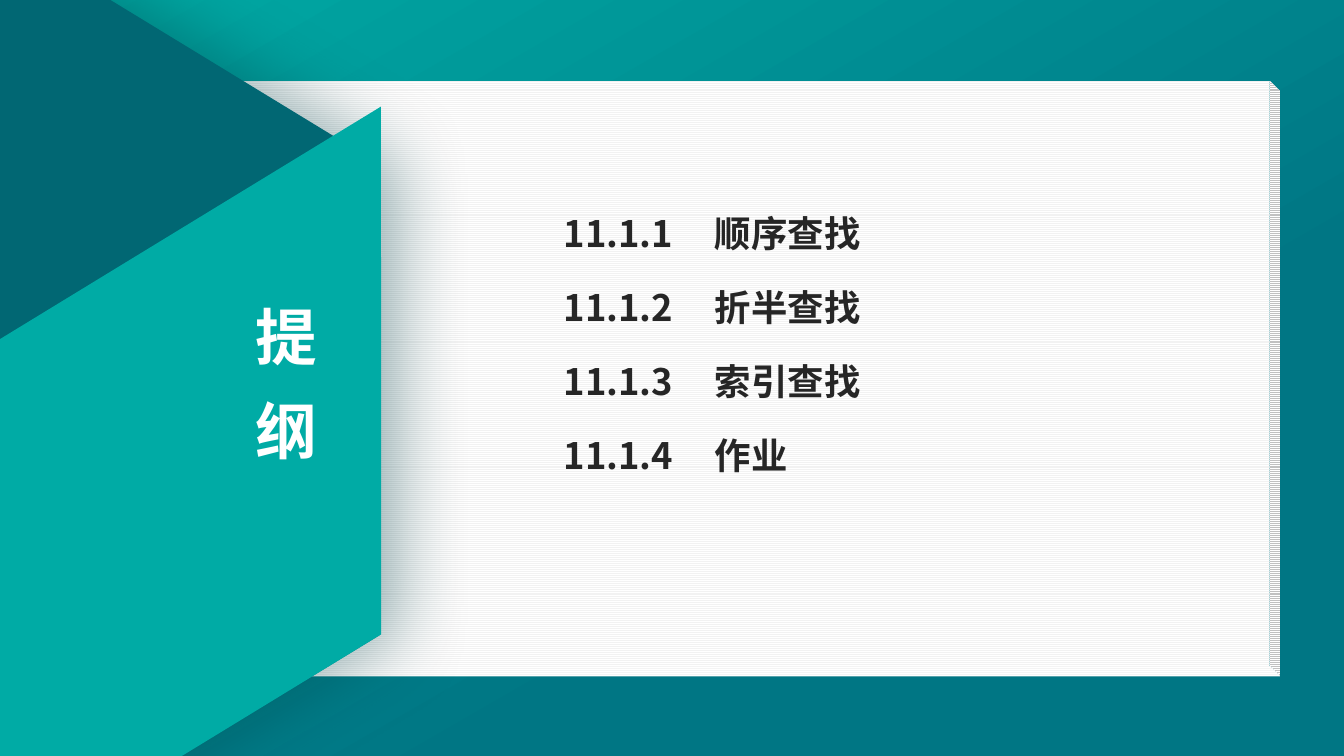
from dataclasses import dataclass

from lxml import etree
from pptx import Presentation
from pptx.dml.color import RGBColor
from pptx.enum.dml import MSO_PATTERN
from pptx.enum.shapes import MSO_SHAPE
from pptx.enum.text import MSO_ANCHOR, MSO_AUTO_SIZE, PP_ALIGN
from pptx.oxml.ns import qn
from pptx.util import Inches, Pt

CUBE, HEXAGON, PARALLELOGRAM = MSO_SHAPE.CUBE, MSO_SHAPE.HEXAGON, MSO_SHAPE.PARALLELOGRAM
PAPER_LINES = MSO_PATTERN.LIGHT_HORIZONTAL
TOP, MIDDLE = MSO_ANCHOR.TOP, MSO_ANCHOR.MIDDLE
LEFT, CENTER = PP_ALIGN.LEFT, PP_ALIGN.CENTER
NO_AUTOFIT = MSO_AUTO_SIZE.NONE
TITLE_AND_CONTENT = 1


@dataclass(frozen=True)
class Theme:
    font: str = "Noto Sans CJK SC"
    title_size: int = 44
    title_pitch: int = 67
    topic_size: int = 26
    teal: str = "00ABA5"
    sea: str = "007684"
    deep: str = "016773"
    shade: str = "013F45"
    black: str = "000000"
    ink: str = "262626"
    paper: str = "FFFFFF"
    paper_line: str = "F2F2F2"


def rgb(code):
    return RGBColor.from_string(code)


def set_gradient(fill, stops, clockwise_angle):
    fill.gradient()
    fill.gradient_angle = (360 - clockwise_angle) % 360
    for stop, (position, color) in zip(fill.gradient_stops, stops):
        stop.position = position
        stop.color.rgb = rgb(color)


def shadow_effect(color, opacity, blur, distance, angle):
    """Return an effect list with one outer shadow; lengths in points."""
    effects = etree.Element(qn("a:effectLst"))
    shadow = etree.SubElement(
        effects, qn("a:outerShdw"), blurRad=str(Pt(blur)), dist=str(Pt(distance)),
        dir=str(angle * 60000), algn="ctr", rotWithShape="0")
    tint = etree.SubElement(shadow, qn("a:srgbClr"), val=color)
    etree.SubElement(tint, qn("a:alpha"), val=str(opacity * 1000))
    return effects


class OutlineSlide:
    def __init__(self, presentation, theme):
        self.theme = theme
        layout = presentation.slide_layouts[TITLE_AND_CONTENT]
        self.slide = presentation.slides.add_slide(layout)

    def background(self, stops, angle):
        set_gradient(self.slide.background.fill, stops, angle)

    def panel(self, preset, box, adjustments, rotation=0):
        panel = self.slide.shapes.add_shape(preset, *map(Inches, box))
        for index, value in enumerate(adjustments):
            panel.adjustments[index] = value
        panel.rotation = rotation
        panel.line.fill.background()
        panel.shadow.inherit = False
        return panel

    def place(self, placeholder, box, insets, anchor):
        """Position a placeholder in front of the panels and return its text frame."""
        placeholder.left, placeholder.top, placeholder.width, placeholder.height = map(Inches, box)
        self.slide.shapes._spTree.append(placeholder._element)
        frame = placeholder.text_frame
        frame.margin_left, frame.margin_top, frame.margin_right, frame.margin_bottom = map(
            Inches, insets)
        frame.word_wrap = True
        frame.auto_size = NO_AUTOFIT
        frame.vertical_anchor = anchor
        return frame

    def style_run(self, run, size, color):
        run.font.name = self.theme.font
        run.font.size = Pt(size)
        run.font.bold = True
        run.font.color.rgb = rgb(color)
        properties = run.font._element
        east_asian = etree.Element(qn("a:ea"), typeface=self.theme.font)
        properties.find(qn("a:latin")).addnext(east_asian)

    def title(self, text, box):
        """Stack the title's characters: the box is one character wide."""
        frame = self.place(self.slide.shapes.title, box, (0, 0, 0, 0), MIDDLE)
        frame.text = text
        paragraph = frame.paragraphs[0]
        paragraph.alignment = CENTER
        paragraph.line_spacing = Pt(self.theme.title_pitch)
        run = paragraph.runs[0]
        self.style_run(run, self.theme.title_size, self.theme.paper)
        run.font._element.find(qn("a:solidFill")).addnext(
            shadow_effect(self.theme.black, 43, 3, 3, 45))

    def topics(self, topics, box, name_offset):
        frame = self.place(self.slide.placeholders[1], box, (0.1, 0, 0.1, 0.05), TOP)
        frame.text = "\n".join(f"{number}\t{name}" for number, name in topics)
        for paragraph in frame.paragraphs:
            paragraph.alignment = LEFT
            paragraph.line_spacing = 1.5
            paragraph.space_before = Pt(6)
            properties = paragraph._p.get_or_add_pPr()
            properties.set("marL", "0")
            properties.set("indent", "0")
            etree.SubElement(properties, qn("a:buNone"))
            tabs = etree.SubElement(properties, qn("a:tabLst"))
            etree.SubElement(tabs, qn("a:tab"), pos=str(Inches(name_offset)), algn="l")
            for run in paragraph.runs:
                self.style_run(run, self.theme.topic_size, self.theme.ink)


def main():
    theme = Theme()
    presentation = Presentation()
    presentation.slide_width = Inches(13.33)
    presentation.slide_height = Inches(7.5)
    outline = OutlineSlide(presentation, theme)
    outline.background([(0, theme.teal), (0.67, theme.sea)], 60)

    notebook = outline.panel(CUBE, (0, 0.8, 12.7, 5.91), [0.018])
    notebook._element.spPr.find(qn("a:xfrm")).set("flipV", "1")
    notebook.fill.patterned()
    notebook.fill.pattern = PAPER_LINES
    notebook.fill.fore_color.rgb = rgb(theme.paper_line)
    notebook.fill.back_color.rgb = rgb(theme.paper)

    dark_fold = outline.panel(HEXAGON, (-6.21, -0.79, 10.46, 9.51), [0.305, 1.155], 90)
    set_gradient(dark_fold.fill, [(0.77, theme.deep), (1, theme.sea)], 90)
    properties = dark_fold._element.spPr
    properties.replace(properties.find(qn("a:effectLst")),
                       shadow_effect(theme.shade, 40, 55, 13, 0))

    bright_fold = outline.panel(PARALLELOGRAM, (-2.74, 2.89, 8.29, 4.47), [0.61], 328.6)
    bright_fold.fill.solid()
    bright_fold.fill.fore_color.rgb = rgb(theme.teal)

    outline.title("提纲", (2.39, 2.7, 0.9, 2))
    names = ["顺序查找", "折半查找", "索引查找", "作业"]
    topics = [(f"11.1.{index}", name) for index, name in enumerate(names, 1)]
    outline.topics(topics, (5.49, 1.88, 4.23, 2.85), 1.41)
    presentation.save("out.pptx")


if __name__ == "__main__":
    main()
